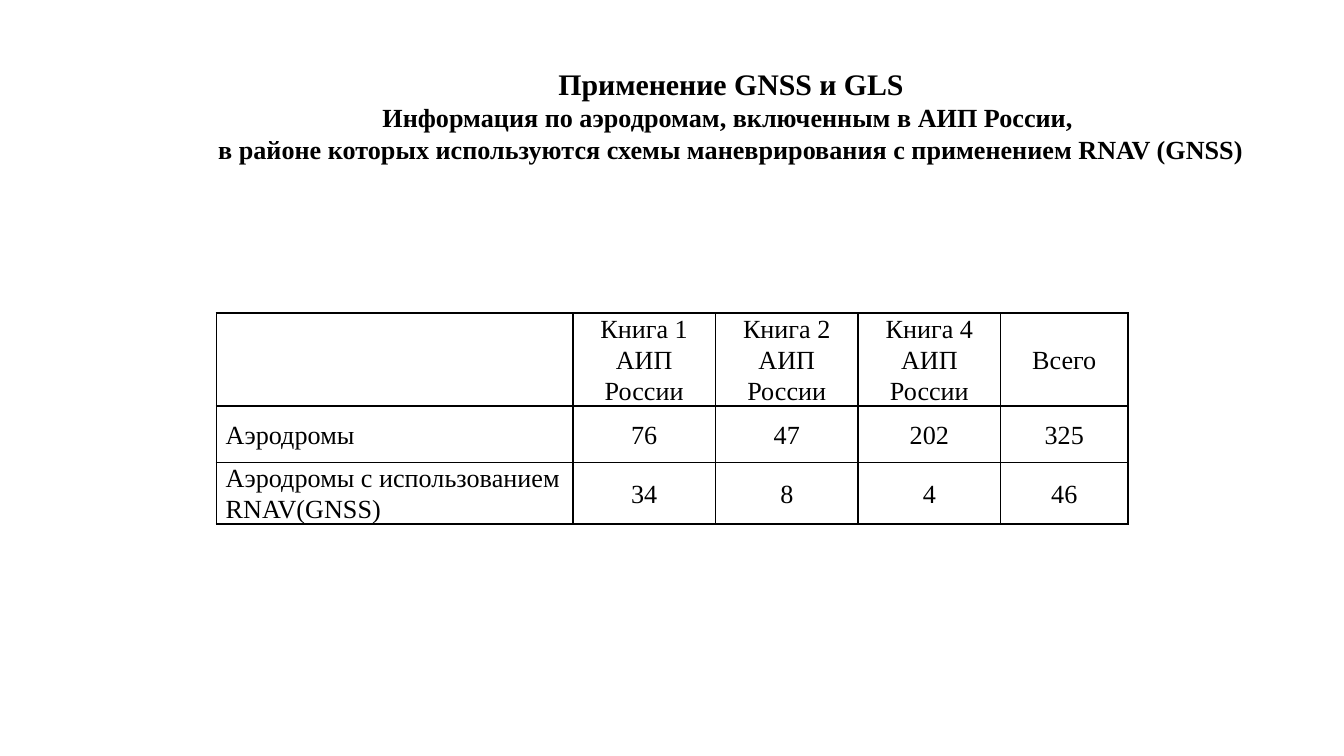
"""Build a slide with a table of aerodromes that use RNAV (GNSS) procedures."""
from lxml.etree import SubElement
from pptx import Presentation
from pptx.dml.color import RGBColor
from pptx.enum.text import MSO_ANCHOR as Anchor, MSO_AUTO_SIZE as AutoSize, PP_ALIGN as Align
from pptx.oxml.ns import qn
from pptx.util import Pt

INK = "000000"
FONT = "Times New Roman"
TITLE = [
    ("Применение GNSS и GLS", 16),
    ("Информация по аэродромам, включенным в АИП России, ", 14),
    ("в районе которых используются схемы маневрирования с применением RNAV (GNSS)", 14),
]
ROWS = [
    ["", "Книга 1\nАИП России", "Книга 2\nАИП России", "Книга 4\nАИП России", "Всего"],
    ["Аэродромы", "76", "47", "202", "325"],
    ["Аэродромы с использованием RNAV(GNSS)", "34", "8", "4", "46"],
]
COLUMN_WIDTHS = [191, 76.4, 76.4, 76.4, 68.2]
ROW_HEIGHTS = [30.2, 30.2, 28.8]
TABLE_LEFT, TABLE_TOP, TABLE_HEIGHT = 115.9, 167.8, 120.2


def color(value):
    return RGBColor.from_string(value)


def apply(target, values):
    for name, value in values.items():
        setattr(target, name, value)


def write(frame, lines, align, bold, spacing):
    for index, (text, size) in enumerate(lines):
        para = frame.paragraphs[0] if index == 0 else frame.add_paragraph()
        apply(para, {"alignment": align, "line_spacing": spacing})
        span = para.add_run()
        span.text = text
        apply(span.font, {"name": FONT, "size": Pt(size), "bold": bold})
        span.font.color.rgb = color(INK)


def add_borders(cell):
    properties = cell._tc.get_or_add_tcPr()
    for position, side in enumerate(("lnL", "lnR", "lnT", "lnB")):
        line = properties.makeelement(qn(f"a:{side}"), {"w": str(Pt(1))})
        fill = SubElement(line, qn("a:solidFill"))
        SubElement(fill, qn("a:srgbClr"), val=INK)
        properties.insert(position, line)


deck = Presentation()
apply(deck, {"slide_width": Pt(720), "slide_height": Pt(405)})
page = deck.slides.add_slide(deck.slide_layouts[5])

title = page.shapes.title
apply(title, {"left": Pt(105.1), "top": Pt(31.7), "width": Pt(573.1), "height": Pt(82.1)})
apply(title.text_frame, {
    "word_wrap": False, "auto_size": AutoSize.NONE, "vertical_anchor": Anchor.TOP,
})
write(title.text_frame, TITLE, Align.CENTER, True, 1.0)

frame = page.shapes.add_table(
    len(ROWS), len(COLUMN_WIDTHS), Pt(TABLE_LEFT), Pt(TABLE_TOP),
    Pt(sum(COLUMN_WIDTHS)), Pt(TABLE_HEIGHT))
table = frame.table
apply(table, {"first_row": False, "horz_banding": False})
for column, width in zip(table.columns, COLUMN_WIDTHS):
    column.width = Pt(width)
for row, height in zip(table.rows, ROW_HEIGHTS):
    row.height = Pt(height)
frame.height = Pt(TABLE_HEIGHT)

for row, texts in zip(table.rows, ROWS):
    for index, (cell, text) in enumerate(zip(row.cells, texts)):
        apply(cell, {
            "margin_left": Pt(5), "margin_right": Pt(5),
            "margin_top": 0, "margin_bottom": 0,
            "vertical_anchor": Anchor.TOP if "\n" in text else Anchor.MIDDLE,
        })
        cell.fill.background()
        add_borders(cell)
        if text:
            lines = [(line, 14) for line in text.split("\n")]
            write(cell.text_frame, lines, Align.CENTER if index else Align.LEFT, False, 1.07)

deck.save("out.pptx")
